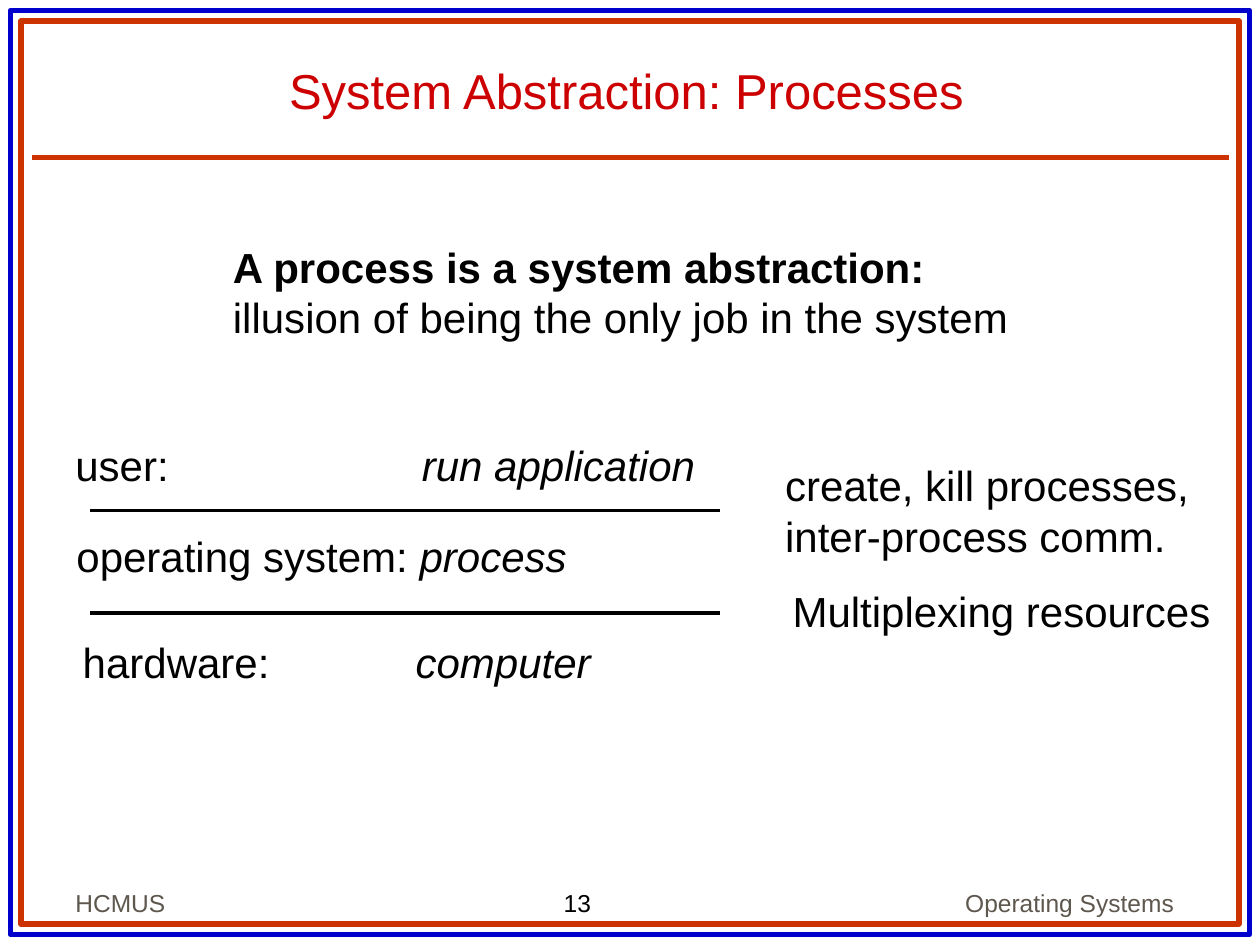
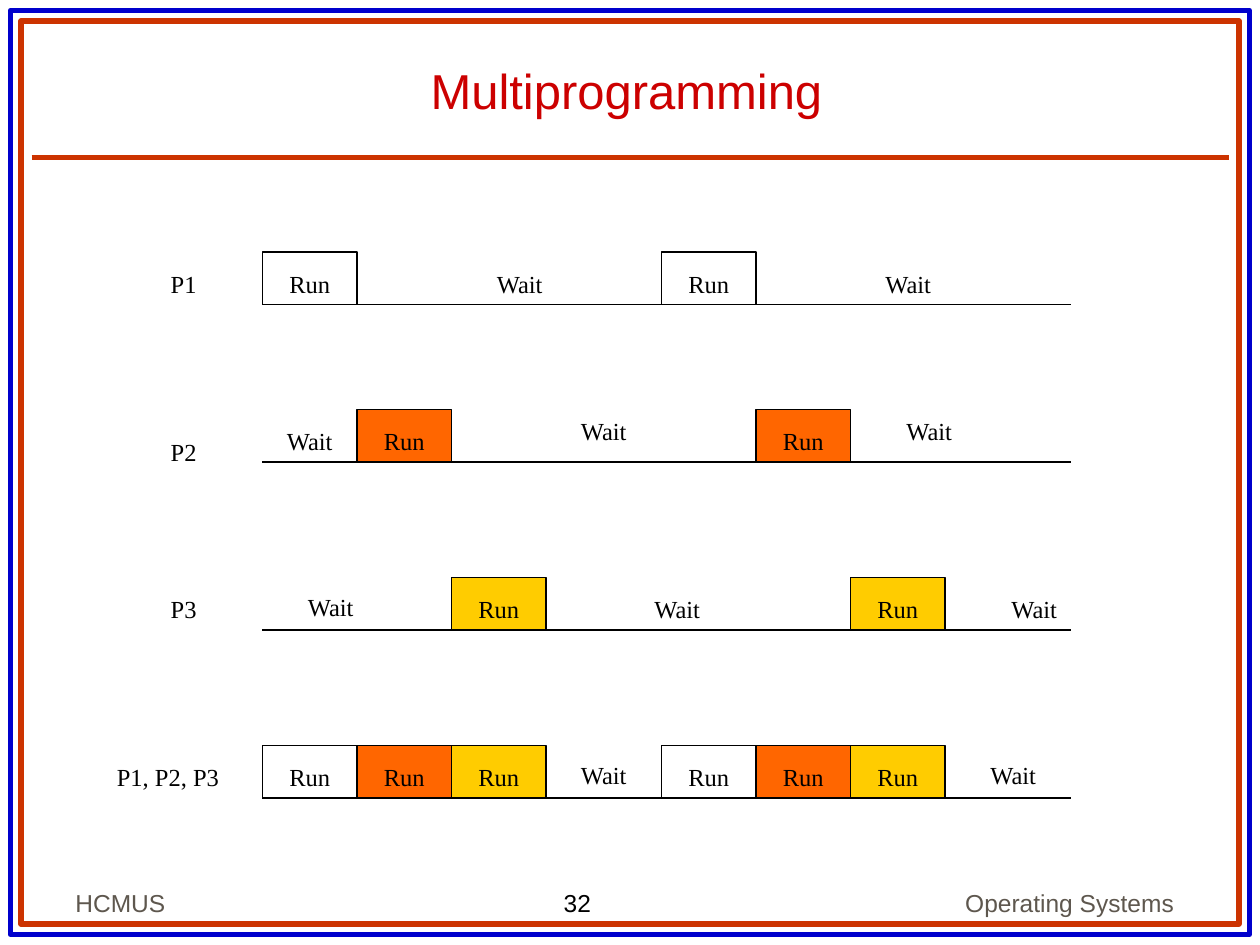
from lxml.etree import SubElement
from pptx import Presentation
from pptx.dml.color import RGBColor
from pptx.enum.shapes import MSO_CONNECTOR, MSO_SHAPE
from pptx.enum.text import MSO_ANCHOR as ANCHOR, PP_ALIGN as ALIGN
from pptx.oxml.ns import qn
from pptx.util import Emu, Pt

PX = 7620  # EMU per px: 120 px to the inch
WIDTH, HEIGHT = 1200, 900

BLACK = RGBColor(0x00, 0x00, 0x00)
WHITE = RGBColor(0xFF, 0xFF, 0xFF)
BLUE = RGBColor(0x00, 0x00, 0xCC)
RUST = RGBColor(0xCC, 0x33, 0x00)
RED = RGBColor(0xCC, 0x00, 0x00)
GREY = RGBColor(0x5E, 0x57, 0x4E)
ORANGE = RGBColor(0xFF, 0x66, 0x00)
YELLOW = RGBColor(0xFF, 0xCC, 0x00)

SANS, SERIF = "Arial", "Times New Roman"

FRAMES = [(10, BLUE), (20, RUST)]  # inset from the slide edge, colour
FOOTERS = [("HCMUS", (60, 820, 250, 60), ALIGN.LEFT),
           ("Operating Systems", (800, 820, 330, 60), ALIGN.RIGHT)]

# Paragraphs are lists of (text, style) runs
DEFINITION = [[("A process is a system abstraction:", "b")],
              [("illusion of being the only job in the system", "")]]
LAYERS = [  # box, tab stop, label, abstraction
    ((60, 413, 640, 60), 330, "user:\t", "run application"),
    ((61, 499, 640, 60), None, "operating system: ", "process"),
    ((67, 600, 640, 60), 317, "hardware:\t", "computer"),
]
LAYER_BORDERS = [486, 584]
SERVICES = [((736, 432, 420, 108), ["create, kill processes,", "inter-process comm."]),
            ((743, 552, 432, 60), ["Multiplexing resources"])]

AXIS_LEFT, AXIS_RIGHT = 250, 1020
RUN_W, RUN_H = 90, 50
CYCLE = 380          # from one run of a process to its next
LABEL_W, LABEL_H, LABEL_RISE = 70, 41, 40
COLOURS = [None, ORANGE, YELLOW]  # of P1, P2, P3
TIMELINES = [  # name, centre, rise; axis y; processes; waits as (left, rise above axis)
    (("P1", 175, 40), 290, [0], [(460, 40), (830, 40)]),
    (("P2", 175, 30), 440, [1], [(260, 40), (540, 50), (850, 50)]),
    (("P3", 175, 40), 600, [2], [(280, 42), (610, 40), (950, 40)]),
    (("P1, P2, P3", 160, 40), 760, [0, 1, 2], [(540, 42), (930, 42)]),
]


def px(*lengths):
    return [Emu(n * PX) for n in lengths]


def fill_text(tf, paragraphs, size, font=SANS, colour=BLACK, align=ALIGN.LEFT,
              anchor=ANCHOR.TOP, tab=None):
    tf.word_wrap = True
    tf.vertical_anchor = anchor
    for i, runs in enumerate(paragraphs):
        p = tf.add_paragraph() if i else tf.paragraphs[0]
        p.alignment = align
        if tab:
            stops = SubElement(p._p.get_or_add_pPr(), qn("a:tabLst"))
            SubElement(stops, qn("a:tab"), pos=str(tab * PX), algn="l")
        for text, style in runs:
            r = p.add_run()
            r.text = text
            r.font.name, r.font.size = font, Pt(size)
            r.font.color.rgb = colour
            r.font.bold, r.font.italic = "b" in style, "i" in style


def add_text(slide, box, paragraphs, size, **style):
    sp = slide.shapes.add_textbox(*px(*box))
    fill_text(sp.text_frame, paragraphs, size, **style)


def add_rect(slide, box, line, width, fill=None):
    sp = slide.shapes.add_shape(MSO_SHAPE.RECTANGLE, *px(*box))
    sp.shadow.inherit = False
    if fill is None:
        sp.fill.background()
    else:
        sp.fill.solid()
        sp.fill.fore_color.rgb = fill
    sp.line.color.rgb = line
    sp.line.width = Pt(width)
    return sp


def add_rule(slide, left, right, y, colour, width):
    """Draw a horizontal line."""
    line = slide.shapes.add_connector(MSO_CONNECTOR.STRAIGHT, *px(left, y, right, y))
    line.line.color.rgb = colour
    line.line.width = Pt(width)
    SubElement(line._element.spPr, qn("a:effectLst"))


def add_slide(prs, title, number):
    """Add a slide with frames, title, footers and page number."""
    slide = prs.slides.add_slide(prs.slide_layouts[6])
    slide.background.fill.solid()
    slide.background.fill.fore_color.rgb = WHITE
    for inset, colour in FRAMES:
        add_rect(slide, (inset, inset, WIDTH - 2 * inset, HEIGHT - 2 * inset), colour, 3)
    add_rule(slide, 30, WIDTH - 30, 150, RUST, 3)
    add_text(slide, (53, 30, 1087, 90), [[(title, "")]], 28, colour=RED,
             align=ALIGN.CENTER, anchor=ANCHOR.BOTTOM)
    for text, box, align in FOOTERS:
        add_text(slide, box, [[(text, "")]], 14, colour=GREY, align=align,
                 anchor=ANCHOR.BOTTOM)
    add_text(slide, (525, 840, 131, 41), [[(str(number), "")]], 14)
    return slide


def add_label(slide, text, left, top, width=LABEL_W):
    add_text(slide, (left, top, width, LABEL_H), [[(text, "")]], 14, font=SERIF,
             align=ALIGN.CENTER)


def build_processes(prs):
    slide = add_slide(prs, "System Abstraction: Processes", 13)
    add_text(slide, (210, 224, 800, 108), DEFINITION, 24)
    for y in LAYER_BORDERS:
        add_rule(slide, 86, 686, y, BLACK, 2)
    for box, tab, label, abstraction in LAYERS:
        add_text(slide, box, [[(label, ""), (abstraction, "i")]], 24, tab=tab)
    for box, lines in SERVICES:
        add_text(slide, box, [[(text, "")] for text in lines], 24)


def build_multiprogramming(prs):
    slide = add_slide(prs, "Multiprogramming", 32)
    for (name, centre, name_rise), axis, processes, waits in TIMELINES:
        add_rule(slide, AXIS_LEFT, AXIS_RIGHT, axis, BLACK, 1)
        for cycle in range(2):
            for n in processes:
                left = AXIS_LEFT + cycle * CYCLE + n * RUN_W
                sp = add_rect(slide, (left, axis - RUN_H, RUN_W, RUN_H), BLACK, 1,
                              COLOURS[n])
                tf = sp.text_frame
                tf.margin_top, tf.margin_bottom = px(RUN_H - LABEL_RISE + 6, 0)
                fill_text(tf, [[("Run", "")]], 14, font=SERIF, align=ALIGN.CENTER)
        for left, rise in waits:
            add_label(slide, "Wait", left, axis - rise)
        name_w = LABEL_W * (2 if len(processes) > 1 else 1)
        add_label(slide, name, centre - name_w // 2, axis - name_rise, name_w)


def main():
    prs = Presentation()
    prs.slide_width, prs.slide_height = px(WIDTH, HEIGHT)
    build_processes(prs)
    build_multiprogramming(prs)
    prs.save("out.pptx")


if __name__ == "__main__":
    main()
